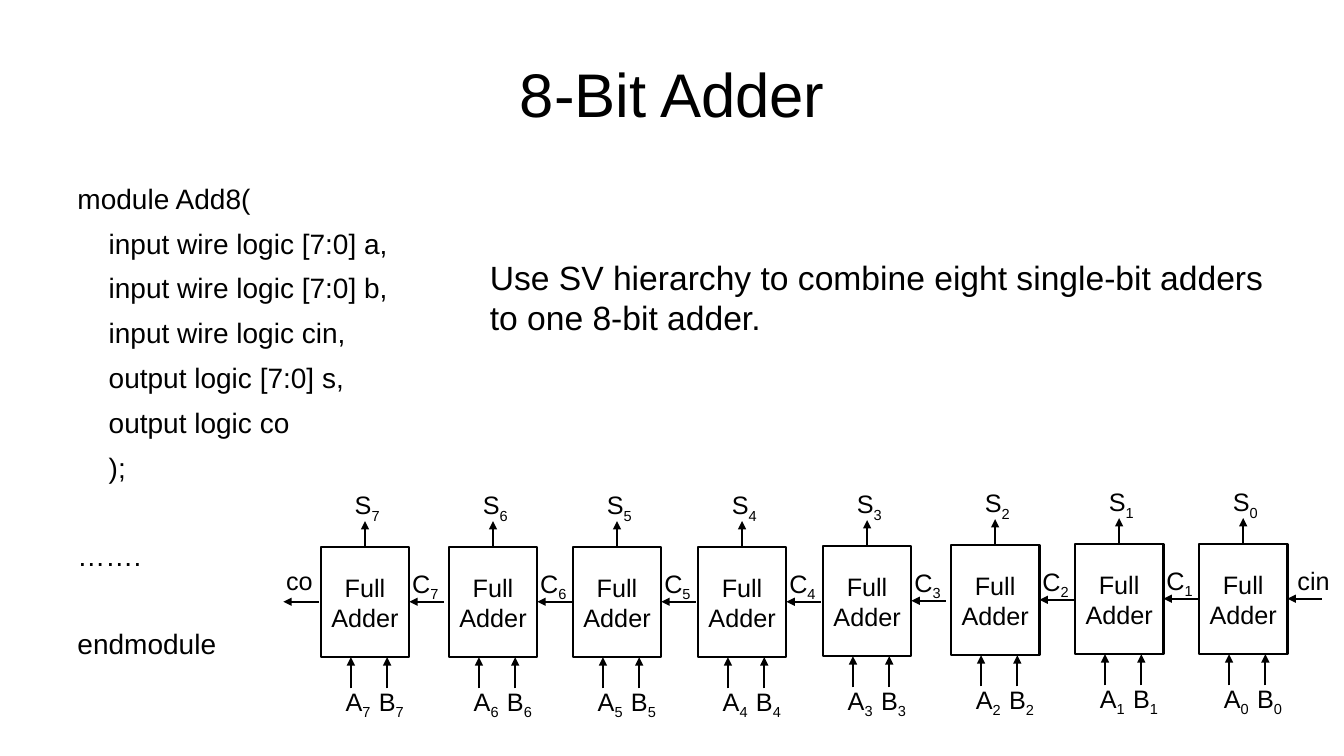
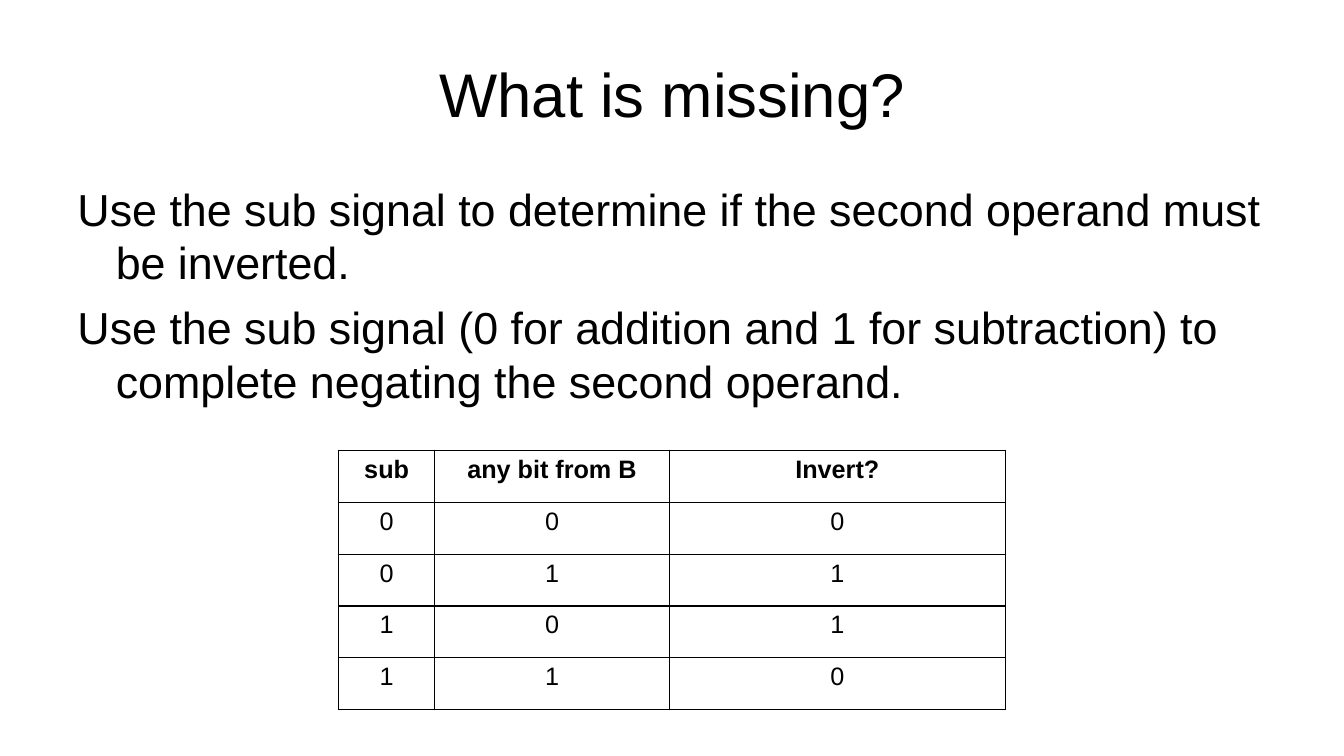
"""Build two slides on an 8-bit adder and on the inversion of its second operand."""
from collections.abc import Sequence
from dataclasses import dataclass
from typing import Any

from lxml.etree import SubElement
from pptx import Presentation
from pptx.dml.color import RGBColor
from pptx.enum.shapes import MSO_CONNECTOR as Connector, MSO_SHAPE as Preset
from pptx.enum.text import MSO_ANCHOR as Anchor, PP_ALIGN as Align
from pptx.oxml.ns import qn
from pptx.slide import Slide
from pptx.util import Inches, Pt


@dataclass(frozen=True)
class Theme:
    ink: RGBColor = RGBColor(0, 0, 0)
    font: str = "Arial"
    title: float = 44
    body: float = 32
    remark: float = 24
    code: float = 20
    label: float = 18
    wire: float = 1.5
    rule: float = 1


@dataclass(frozen=True)
class Area:
    left: float
    top: float
    width: float
    height: float

    def emu(self) -> tuple[int, ...]:
        return tuple(Inches(v) for v in (self.left, self.top, self.width, self.height))


@dataclass(frozen=True)
class Line:
    text: str
    margin: float = 0
    hanging: float = 0
    before: float = 0
    subscript: str = ""


@dataclass(frozen=True)
class Stage:
    bit: int
    left: float
    top: float


THEME = Theme()
TITLE_AREA = Area(0.67, 0.3, 12, 1.25)
BODY_AREA = Area(0.67, 1.75, 12, 4.95)
ADDER_WIDTH, ADDER_HEIGHT = 0.88, 1.09
LABEL_WIDTH, LABEL_HEIGHT = 0.56, 0.4
CARRY_Y = 0.54

CODE = (
    Line("module Add8("),
    *(
        Line(text, margin=0.31, before=8)
        for text in (
            "input wire logic [7:0] a,",
            "input wire logic [7:0] b,",
            "input wire logic cin,",
            "output logic [7:0] s,",
            "output logic co",
            ");",
        )
    ),
    Line("…….", before=39),
    Line("endmodule", before=39),
)
REMARK = "Use SV hierarchy to combine eight single-bit adders to one 8-bit adder."
STAGES = (
    Stage(7, 3.18, 5.43),
    Stage(6, 4.45, 5.43),
    Stage(5, 5.68, 5.43),
    Stage(4, 6.92, 5.43),
    Stage(3, 8.16, 5.42),
    Stage(2, 9.43, 5.41),
    Stage(1, 10.66, 5.4),
    Stage(0, 11.89, 5.4),
)
SUB_RULES = (
    "Use the sub signal to determine if the second operand must be inverted.",
    "Use the sub signal (0 for addition and 1 for subtraction) to complete negating "
    "the second operand.",
)
TRUTH_TABLE = (
    ("sub", "any bit from B", "Invert?"),
    ("0", "0", "0"),
    ("0", "1", "1"),
    ("1", "0", "1"),
    ("1", "1", "0"),
)
TRUTH_AREA = Area(3.36, 4.47, 6.61, 2.57)
TRUTH_WIDTHS = (0.95, 2.33, 3.33)


def apply(target: Any, values: dict[str, Any]) -> None:
    for name, value in values.items():
        setattr(target, name, value)


def write(frame: Any, lines: Sequence[Line], size: float,
          align: Align = Align.LEFT, bold: bool = False) -> None:
    for index, line in enumerate(lines):
        paragraph = frame.paragraphs[0] if index == 0 else frame.add_paragraph()
        apply(paragraph, {"alignment": align, "space_before": Pt(line.before)})
        properties = paragraph._p.get_or_add_pPr()
        properties.set("marL", str(Inches(line.margin)))
        properties.set("indent", str(Inches(-line.hanging)))
        for text, baseline in ((line.text, 0), (line.subscript, -25000)):
            if not text:
                continue
            run = paragraph.add_run()
            run.text = text
            apply(run.font, {"name": THEME.font, "size": Pt(size), "bold": bold})
            run.font.color.rgb = THEME.ink
            if baseline:
                run._r.get_or_add_rPr().set("baseline", str(baseline))


def add_text(slide: Slide, area: Area, lines: Sequence[Line], size: float,
             align: Align = Align.LEFT, anchor: Anchor = Anchor.TOP) -> None:
    frame = slide.shapes.add_textbox(*area.emu()).text_frame
    apply(frame, {"word_wrap": True, "vertical_anchor": anchor})
    write(frame, lines, size, align)


def add_label(slide: Slide, left: float, top: float, text: str, subscript: str = "") -> None:
    area = Area(left, top, LABEL_WIDTH, LABEL_HEIGHT)
    add_text(slide, area, [Line(text, subscript=subscript)], THEME.label)


def add_arrow(slide: Slide, x1: float, y1: float, x2: float, y2: float) -> None:
    ends = (Inches(v) for v in (x1, y1, x2, y2))
    arrow = slide.shapes.add_connector(Connector.STRAIGHT, *ends)
    arrow.line.color.rgb = THEME.ink
    arrow.line.width = Pt(THEME.wire)
    SubElement(arrow.line._get_or_add_ln(), qn("a:tailEnd"), type="triangle")
    SubElement(arrow._element.spPr, qn("a:effectLst"))


def add_stage(slide: Slide, stage: Stage) -> None:
    left, top, bit = stage.left, stage.top, str(stage.bit)
    area = Area(left, top, ADDER_WIDTH, ADDER_HEIGHT)
    adder = slide.shapes.add_shape(Preset.RECTANGLE, *area.emu())
    adder.shadow.inherit = False
    adder.fill.background()
    adder.line.color.rgb = THEME.ink
    adder.line.width = Pt(THEME.wire)
    apply(adder.text_frame, {
        "word_wrap": True,
        "vertical_anchor": Anchor.MIDDLE,
        "margin_left": Inches(0.05),
        "margin_right": Inches(0.05),
    })
    write(adder.text_frame, [Line("Full Adder")], THEME.label, Align.CENTER)

    for operand, arrow_x, label_x in (("A", 0.3, 0.15), ("B", 0.66, 0.48)):
        add_arrow(slide, left + arrow_x, top + 1.4, left + arrow_x, top + ADDER_HEIGHT)
        add_label(slide, left + label_x, top + 1.33, operand, bit)
    add_arrow(slide, left + 0.44, top, left + 0.44, top - 0.26)
    add_label(slide, left + 0.24, top - 0.62, "S", bit)
    add_arrow(slide, left + 1.22, top + CARRY_Y, left + ADDER_WIDTH, top + CARRY_Y)
    if stage.bit:
        add_label(slide, left + 0.81, top + 0.16, "C", bit)
    else:
        add_label(slide, left + ADDER_WIDTH, top + 0.16, "cin")


def add_truth_table(slide: Slide) -> None:
    shape = slide.shapes.add_table(len(TRUTH_TABLE), len(TRUTH_WIDTHS), *TRUTH_AREA.emu())
    table = shape.table
    apply(table, {"first_row": False, "horz_banding": False})
    for column, width in zip(table.columns, TRUTH_WIDTHS):
        column.width = Inches(width)
    for row, values in enumerate(TRUTH_TABLE):
        for column, value in enumerate(values):
            cell = table.cell(row, column)
            write(cell.text_frame, [Line(value)], THEME.label, Align.CENTER, row == 0)
            properties = cell._tc.get_or_add_tcPr()
            for side in ("lnL", "lnR", "lnT", "lnB"):
                border = SubElement(properties, qn(f"a:{side}"), w=str(Pt(THEME.rule)))
                paint = SubElement(border, qn("a:solidFill"))
                SubElement(paint, qn("a:srgbClr"), val=str(THEME.ink))
            cell.fill.background()


def add_titled_slide(deck: Any, title: str) -> Slide:
    slide = deck.slides.add_slide(deck.slide_layouts[6])
    add_text(slide, TITLE_AREA, [Line(title)], THEME.title, Align.CENTER, Anchor.MIDDLE)
    return slide


def build_adder_slide(deck: Any) -> None:
    slide = add_titled_slide(deck, "8-Bit Adder")
    add_text(slide, BODY_AREA, CODE, THEME.code)
    add_text(slide, Area(4.76, 2.5, 8.02, 1.31), [Line(REMARK)], THEME.remark)
    for stage in STAGES:
        add_stage(slide, stage)
    last = STAGES[0]
    carry_y = last.top + CARRY_Y
    add_arrow(slide, last.left - 0.02, carry_y, last.left - 0.37, carry_y)
    add_label(slide, last.left - 0.44, last.top + 0.13, "co")


def build_inversion_slide(deck: Any) -> None:
    slide = add_titled_slide(deck, "What is missing?")
    rules = [Line(text, margin=0.38, hanging=0.38, before=8) for text in SUB_RULES]
    add_text(slide, BODY_AREA, rules, THEME.body)
    add_truth_table(slide)


def main() -> None:
    deck = Presentation()
    apply(deck, {"slide_width": Inches(13.33), "slide_height": Inches(7.5)})
    build_adder_slide(deck)
    build_inversion_slide(deck)
    deck.save("out.pptx")


if __name__ == "__main__":
    main()
